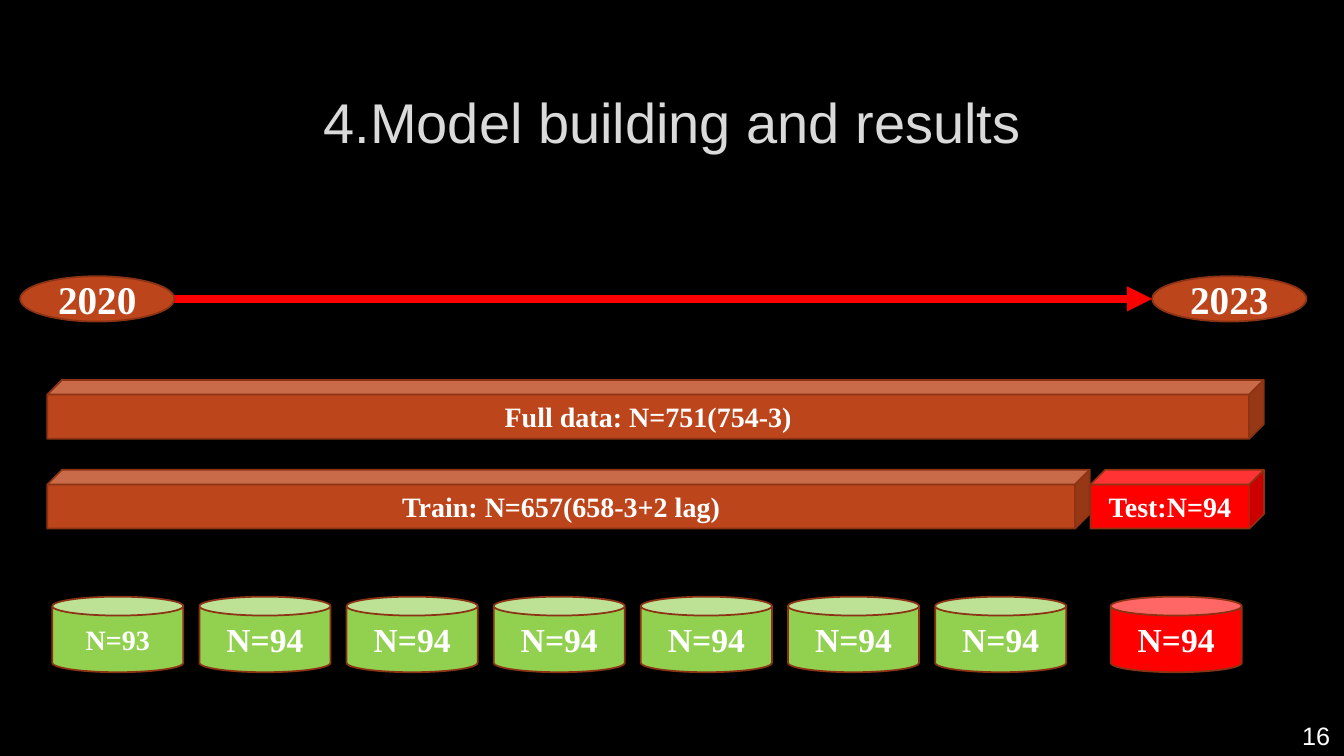
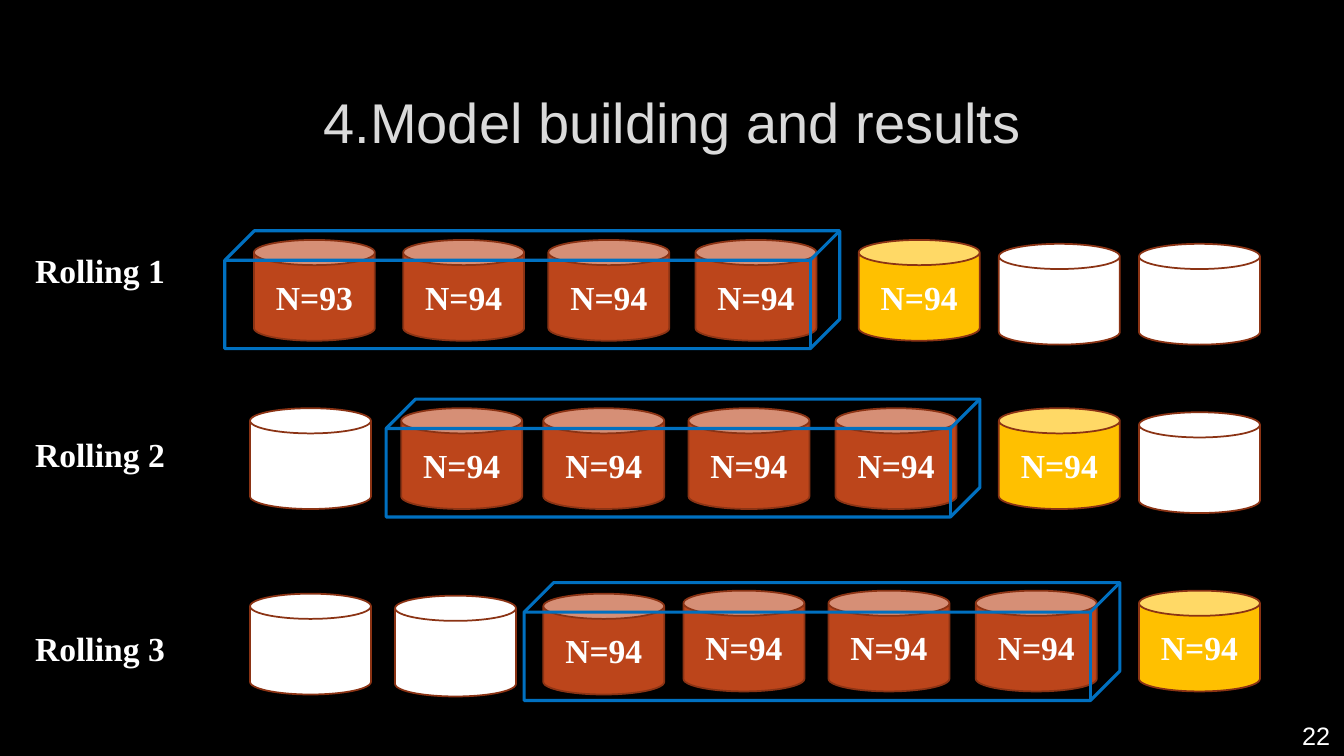
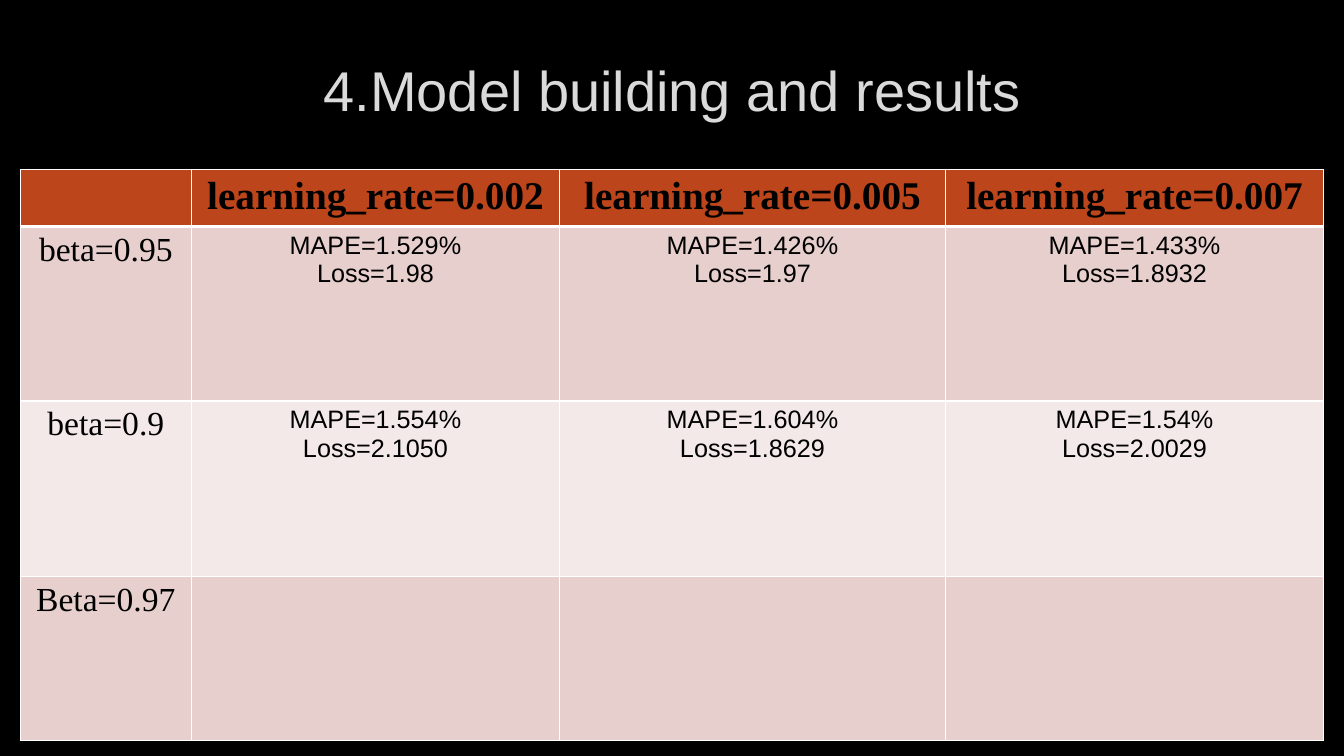
"""Build three slides on model building: data split, rolling windows and tuning results."""
from lxml import etree
from pptx import Presentation
from pptx.dml.color import RGBColor
from pptx.enum.shapes import MSO_CONNECTOR, MSO_SHAPE
from pptx.enum.text import MSO_ANCHOR, PP_ALIGN
from pptx.oxml.ns import qn
from pptx.util import Pt

CAN, CUBE, OVAL = MSO_SHAPE.CAN, MSO_SHAPE.CUBE, MSO_SHAPE.OVAL
CENTER, LEFT = PP_ALIGN.CENTER, PP_ALIGN.LEFT
MIDDLE, TOP = MSO_ANCHOR.MIDDLE, MSO_ANCHOR.TOP
SANS, SERIF = "Arial", "Times New Roman"
COLORS = {
    "background": "000000", "title": "DADADA", "white": "FFFFFF", "black": "000000",
    "rust": "BC451B", "outline": "8B3314", "red": "FF0000", "green": "92D050",
    "gold": "FFC000", "blue": "0070C0", "band_dark": "E7CFCD", "band_light": "F3E9E8",
}
TITLE = "4.Model building and results"

YEARS = [("2020", 14.4), ("2023", 823)]
YEAR_TOP, YEAR_WIDTH, YEAR_HEIGHT = 197.3, 110.2, 32.4
BARS = [
    ("Full data: N=751(754-3)", 33.8, 271.4, 869, "rust"),
    ("Train: N=657(658-3+2 lag)", 33.8, 335.6, 744.6, "rust"),
    ("Test:N=94", 779, 335.6, 124, "red"),
]
BAR_HEIGHT = 42
FOLDS = ["N=93"] + ["N=94"] * 6
FOLD_LEFT, FOLD_PITCH, TEST_LEFT = 37.4, 105.1, 793.4
FOLD_TOP, FOLD_WIDTH, FOLD_HEIGHT = 426.2, 93.6, 54

CAN_WIDTH, CAN_HEIGHT = 86.4, 72
KIND_FILLS = {"train": "rust", "test": "gold", "unused": "white"}
ROLLINGS = [
    {"label": "Rolling 1", "label_top": 175, "window": (160.6, 164.9, 439.2),
     "cans": [("train", 181.4, 171.4, "N=93"), ("train", 288, 171.4, "N=94"),
              ("train", 391.7, 171.4, "N=94"), ("train", 496.8, 171.4, "N=94"),
              ("test", 613.4, 171.4, "N=94"), ("unused", 713.5, 174.2, ""),
              ("unused", 813.6, 174.2, "")]},
    {"label": "Rolling 2", "label_top": 306.7, "window": (275.8, 285.1, 424.1),
     "cans": [("unused", 178.6, 291.6, ""), ("train", 286.6, 291.6, "N=94"),
              ("train", 388.1, 291.6, "N=94"), ("train", 491.8, 291.6, "N=94"),
              ("train", 596.9, 291.6, "N=94"), ("test", 713.5, 291.6, "N=94"),
              ("unused", 813.6, 294.5, "")]},
    {"label": "Rolling 3", "label_top": 445, "window": (374.4, 416.2, 425.5),
     "cans": [("unused", 178.6, 424.1, ""), ("unused", 282.2, 425.5, ""),
              ("train", 388.1, 424.1, "N=94"), ("train", 488.2, 421.9, "N=94"),
              ("train", 591.8, 421.9, "N=94"), ("train", 697, 421.9, "N=94"),
              ("test", 813.6, 421.9, "N=94")]},
]
WINDOW_HEIGHT = 84.2

RESULTS = [
    ["", "learning_rate=0.002", "learning_rate=0.005", "learning_rate=0.007"],
    ["beta=0.95", "MAPE=1.529%\nLoss=1.98", "MAPE=1.426%\nLoss=1.97", "MAPE=1.433%\nLoss=1.8932"],
    ["beta=0.9", "MAPE=1.554%\nLoss=2.1050", "MAPE=1.604%\nLoss=1.8629", "MAPE=1.54%\nLoss=2.0029"],
    ["Beta=0.97", "", "", ""],
]
COLUMN_WIDTHS = [122.4, 262.8, 275.8, 270]
ROW_HEIGHTS = [38, 124.6, 125.3, 117.4]


def rgb(name):
    return RGBColor.from_string(COLORS[name])


def write(text_frame, text, size, color="white", font=SERIF, bold=False, align=CENTER):
    text_frame.text = text
    for paragraph in text_frame.paragraphs:
        paragraph.alignment = align
        paragraph.font.size = Pt(size)
        for run in paragraph.runs:
            run.font.size, run.font.name, run.font.bold = Pt(size), font, bold
            run.font.color.rgb = rgb(color)


def add_text(slide, text, box, size, anchor=TOP, **style):
    text_frame = slide.shapes.add_textbox(*map(Pt, box)).text_frame
    text_frame.word_wrap = True
    text_frame.vertical_anchor = anchor
    write(text_frame, text, size, **style)


def add_block(slide, kind, box, fill, text="", size=24, line="outline", line_width=1.25):
    shape = slide.shapes.add_shape(kind, *map(Pt, box))
    shape.shadow.inherit = False
    if fill:
        shape.fill.solid()
        shape.fill.fore_color.rgb = rgb(fill)
    else:
        shape.fill.background()
    shape.line.color.rgb = rgb(line)
    shape.line.width = Pt(line_width)
    if text:
        write(shape.text_frame, text, size, bold=True)


def add_arrow(slide, start, end, y):
    arrow = slide.shapes.add_connector(MSO_CONNECTOR.STRAIGHT, Pt(start), Pt(y), Pt(end), Pt(y))
    arrow.line.color.rgb = rgb("red")
    arrow.line.width = Pt(6)
    etree.SubElement(arrow.line._get_or_add_ln(), qn("a:tailEnd"), type="triangle")
    etree.SubElement(arrow._element.spPr, qn("a:effectLst"))


def set_borders(cell, widths):
    properties = cell._tc.get_or_add_tcPr()
    for side, width in widths.items():
        line = etree.SubElement(properties, qn("a:ln" + side), w=str(Pt(width)))
        fill = etree.SubElement(line, qn("a:solidFill"))
        etree.SubElement(fill, qn("a:srgbClr"), val=COLORS["white"])


def add_slide(presentation, title_top=48.2, number=None):
    slide = presentation.slides.add_slide(presentation.slide_layouts[6])
    add_text(slide, TITLE, (72.4, title_top, 815, 76.3), 40, MIDDLE, color="title", font=SANS)
    if number:
        add_text(slide, number, (923, 511.2, 43.2, 28.8), 18, font=SANS, align=LEFT)
    return slide


def build_split(presentation):
    slide = add_slide(presentation, number="16")
    add_arrow(slide, YEARS[0][1] + YEAR_WIDTH, YEARS[1][1], YEAR_TOP + YEAR_HEIGHT / 2)
    for year, left in YEARS:
        add_block(slide, OVAL, (left, YEAR_TOP, YEAR_WIDTH, YEAR_HEIGHT), "rust", year, 28)
    for text, left, top, width, fill in BARS:
        add_block(slide, CUBE, (left, top, width, BAR_HEIGHT), fill, text, 20)
    folds = [(FOLD_LEFT + index * FOLD_PITCH, "green", text, 24 if index else 20)
             for index, text in enumerate(FOLDS)]
    for left, fill, text, size in folds + [(TEST_LEFT, "red", "N=94", 24)]:
        add_block(slide, CAN, (left, FOLD_TOP, FOLD_WIDTH, FOLD_HEIGHT), fill, text, size)


def build_rolling(presentation):
    slide = add_slide(presentation, number="22")
    for rolling in ROLLINGS:
        add_text(slide, rolling["label"], (18, rolling["label_top"], 149, 36), 24,
                 bold=True, align=LEFT)
        for kind, left, top, text in rolling["cans"]:
            add_block(slide, CAN, (left, top, CAN_WIDTH, CAN_HEIGHT), KIND_FILLS[kind], text)
        add_block(slide, CUBE, (*rolling["window"], WINDOW_HEIGHT), None,
                  line="blue", line_width=2.25)


def build_results(presentation):
    slide = add_slide(presentation, title_top=25.4)
    table = slide.shapes.add_table(
        len(RESULTS), len(COLUMN_WIDTHS), Pt(14.4), Pt(121),
        Pt(sum(COLUMN_WIDTHS)), Pt(sum(ROW_HEIGHTS))).table
    for column, width in zip(table.columns, COLUMN_WIDTHS):
        column.width = Pt(width)
    for row, height in zip(table.rows, ROW_HEIGHTS):
        row.height = Pt(height)
    for row_index, texts in enumerate(RESULTS):
        header = row_index == 0
        band = "rust" if header else "band_dark" if row_index % 2 else "band_light"
        for column_index, text in enumerate(texts):
            cell = table.cell(row_index, column_index)
            size = 28 if header else 18 if column_index else 24
            font = SANS if column_index and not header else SERIF
            write(cell.text_frame, text, size, "black", font, header)
            set_borders(cell, {"L": 1, "R": 1, "T": 3 if row_index == 1 else 1,
                               "B": 3 if header else 1})
            cell.fill.solid()
            cell.fill.fore_color.rgb = rgb(band)


def main():
    presentation = Presentation()
    presentation.slide_width, presentation.slide_height = Pt(960), Pt(540)
    background = presentation.slide_master.background.fill
    background.solid()
    background.fore_color.rgb = rgb("background")
    build_split(presentation)
    build_rolling(presentation)
    build_results(presentation)
    presentation.save("out.pptx")


if __name__ == "__main__":
    main()
